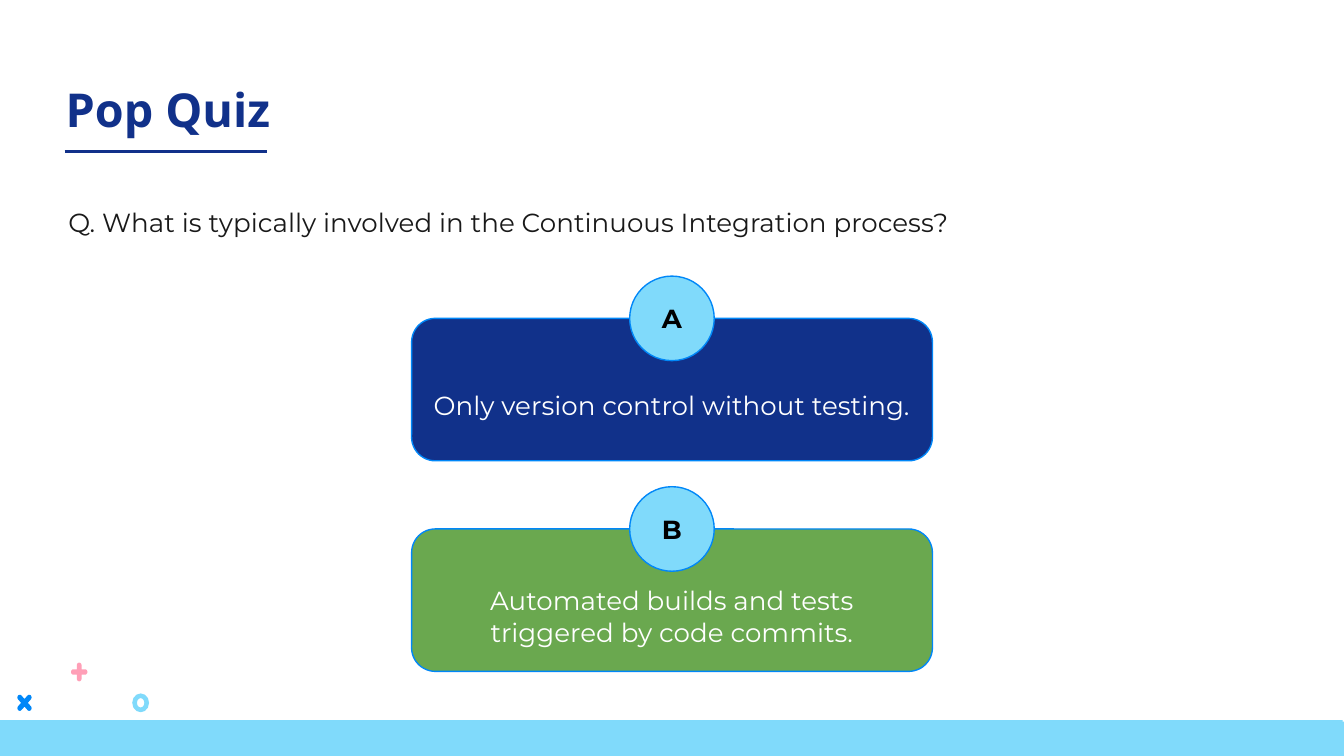
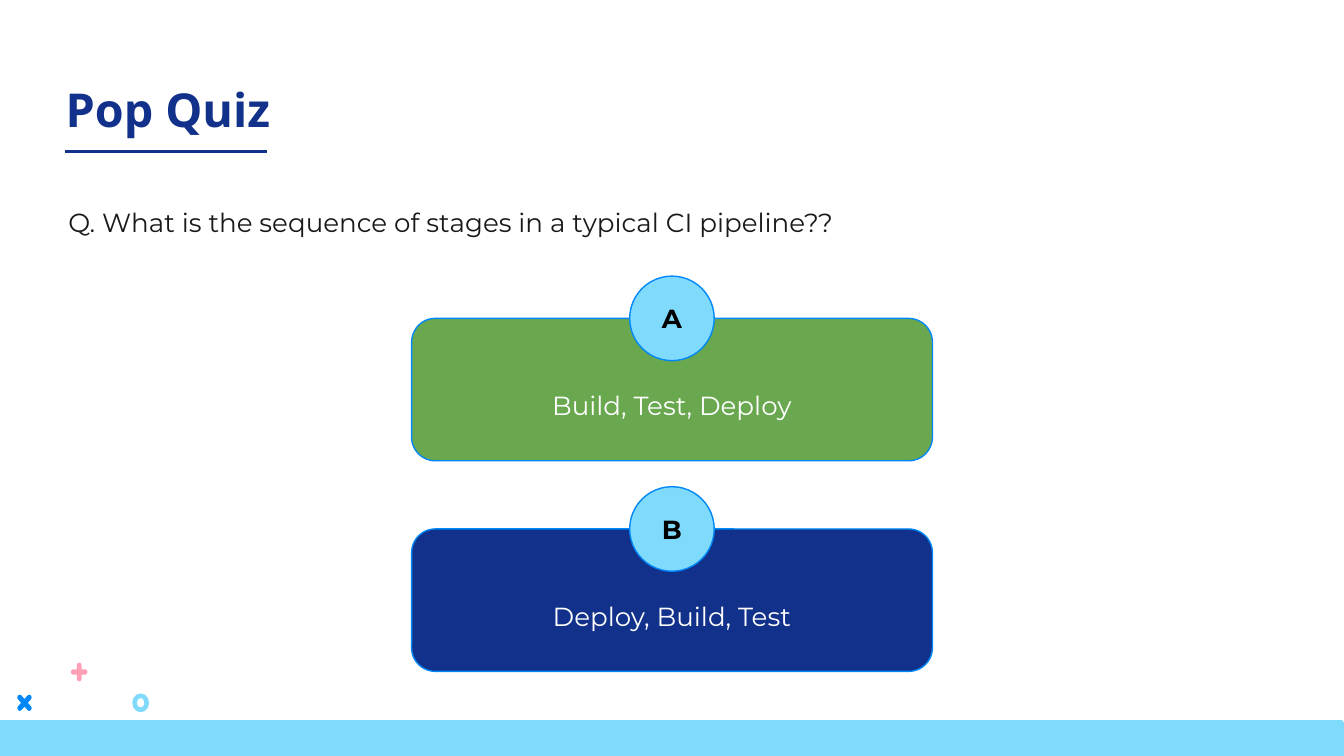
from collections import namedtuple
from math import cos, pi, sin

from lxml.etree import SubElement
from pptx import Presentation
from pptx.dml.color import RGBColor
from pptx.enum.shapes import MSO_CONNECTOR, MSO_SHAPE as Shape
from pptx.enum.text import MSO_ANCHOR as Anchor, PP_ALIGN as Align
from pptx.oxml.ns import qn
from pptx.util import Pt

COLORS = {
    "navy": "11318A",
    "green": "6AA84F",
    "sky": "80DAFB",
    "blue": "0087F8",
    "pink": "FF9FB7",
    "ink": "191919",
    "black": "000000",
    "white": "FFFFFF",
}
HEADING_FONT = "Open Sans"
BODY_FONT = "Montserrat"
INSET = 7.2
BLANK_LINE = 17

Box = namedtuple("Box", "left top width height")
PAGE = Box(0, 0, 720, 405)
TITLE = Box(28.08, 36, 471.6, 45.36)
QUESTION = Box(29.52, 100.8, 646.56, 187.2)
ANSWERS = Box(220.5, 170.6, 279, 189.1)
MARKS = Box(9.36, 355, 70.5, 26.6)

QUIZZES = [
    ("Q. What is typically involved in the Continuous Integration process?",
     [("A", "Only version control without testing.", "navy"),
      ("B", "Automated builds and tests triggered by code commits.", "green")]),
    ("Q. What is the sequence of stages in a typical CI pipeline??",
     [("A", "Build, Test, Deploy", "green"),
      ("B", "Deploy, Build, Test", "navy")]),
]


def color(name):
    return RGBColor.from_string(COLORS[name])


def paint(shape, fill, line=None):
    shape.shadow.inherit = False
    shape.fill.solid()
    shape.fill.fore_color.rgb = color(fill)
    if line:
        shape.line.color.rgb = color(line)
        shape.line.width = Pt(0.75)
    else:
        shape.line.fill.background()


def add_figure(shapes, kind, box, fill, line=None):
    figure = shapes.add_shape(kind, *map(Pt, box))
    paint(figure, fill, line)
    return figure


def write(shape, text, size, ink, font=BODY_FONT, bold=False,
          align=Align.LEFT, anchor=Anchor.TOP, top_inset=INSET, spacing=None):
    frame = shape.text_frame
    frame.word_wrap = True
    frame.vertical_anchor = anchor
    frame.margin_left = frame.margin_right = frame.margin_bottom = Pt(INSET)
    frame.margin_top = Pt(top_inset)
    para = frame.paragraphs[0]
    para.alignment = align
    if spacing:
        para.line_spacing = spacing
    span = para.add_run()
    span.text = text
    span.font.name = font
    span.font.size = Pt(size)
    span.font.bold = bold
    span.font.color.rgb = color(ink)


def add_cross(shapes, center_x, center_y, reach, fill, turn=0):
    radius, squeeze, unit = 1.45, 0.88, 100
    points = []
    for arm in range(4):
        angle = turn + arm * pi / 2
        tip = reach - radius
        outline = [(tip + radius * cos(step * pi / 8), radius * sin(step * pi / 8))
                   for step in range(-4, 5)] + [(radius, radius)]
        points += [
            (unit * (center_x + squeeze * (x * cos(angle) - y * sin(angle))),
             unit * (center_y + x * sin(angle) + y * cos(angle)))
            for x, y in outline
        ]
    builder = shapes.build_freeform(*points[0], scale=Pt(1) / unit)
    builder.add_line_segments(points[1:], close=True)
    paint(builder.convert_to_shape(), fill)


def add_marks(page, box):
    group = page.shapes.add_group_shape()
    ring = Box(box.left + box.width - 9, box.top + box.height - 10.1, 9, 10.1)
    donut = add_figure(group.shapes, Shape.DONUT, ring, "sky")
    donut.adjustments[0] = 0.28
    low_y = ring.top + ring.height / 2
    add_cross(group.shapes, box.left + 3.8, low_y, 5.5, "blue", pi / 4)
    add_cross(group.shapes, box.left + 33.1, box.top + 5, 5, "pink")


def add_footer(page, box):
    for shift in (-0.72, 0):
        band = Box(box.left + shift, box.top + 386.6 + shift, box.width, 19.4)
        add_figure(page.shapes, Shape.RECTANGLE, band, "sky")


def add_title(page, box):
    heading = page.shapes.add_textbox(*map(Pt, box))
    write(heading, "Pop Quiz", 25, "navy", HEADING_FONT, True)
    left, bottom = box.left + 6.6, box.top + box.height
    rule = page.shapes.add_connector(
        MSO_CONNECTOR.STRAIGHT, Pt(left), Pt(bottom), Pt(left + 108.5), Pt(bottom))
    rule.line.color.rgb = color("navy")
    rule.line.width = Pt(1.5)
    SubElement(rule._element.spPr, qn("a:effectLst"))


def add_question(page, box, text):
    question = page.shapes.add_textbox(*map(Pt, box))
    write(question, text, 14, "ink", spacing=1.15)


def add_answers(page, box, answers):
    height, diameter = 76.3, 45.3
    step = (box.height - height) / (len(answers) - 1)
    group = page.shapes.add_group_shape()
    for index, (letter, text, fill) in enumerate(answers):
        top = box.top + index * step
        card = add_figure(group.shapes, Shape.ROUNDED_RECTANGLE,
                          Box(box.left, top, box.width, height), fill, "blue")
        write(card, text, 14, "white", align=Align.CENTER, anchor=Anchor.MIDDLE,
              top_inset=INSET + BLANK_LINE)
        badge = add_figure(group.shapes, Shape.OVAL,
                           Box(box.left + (box.width - diameter) / 2,
                               top - diameter / 2, diameter, diameter), "sky", "blue")
        write(badge, letter, 14, "black", bold=True, align=Align.CENTER,
              anchor=Anchor.MIDDLE)


def add_quiz(deck, question, answers):
    page = deck.slides.add_slide(deck.slide_layouts[6])
    add_footer(page, PAGE)
    add_marks(page, MARKS)
    add_title(page, TITLE)
    add_question(page, QUESTION, question)
    add_answers(page, ANSWERS, answers)


def main():
    deck = Presentation()
    deck.slide_width, deck.slide_height = Pt(PAGE.width), Pt(PAGE.height)
    for question, answers in QUIZZES:
        add_quiz(deck, question, answers)
    deck.save("out.pptx")


if __name__ == "__main__":
    main()
